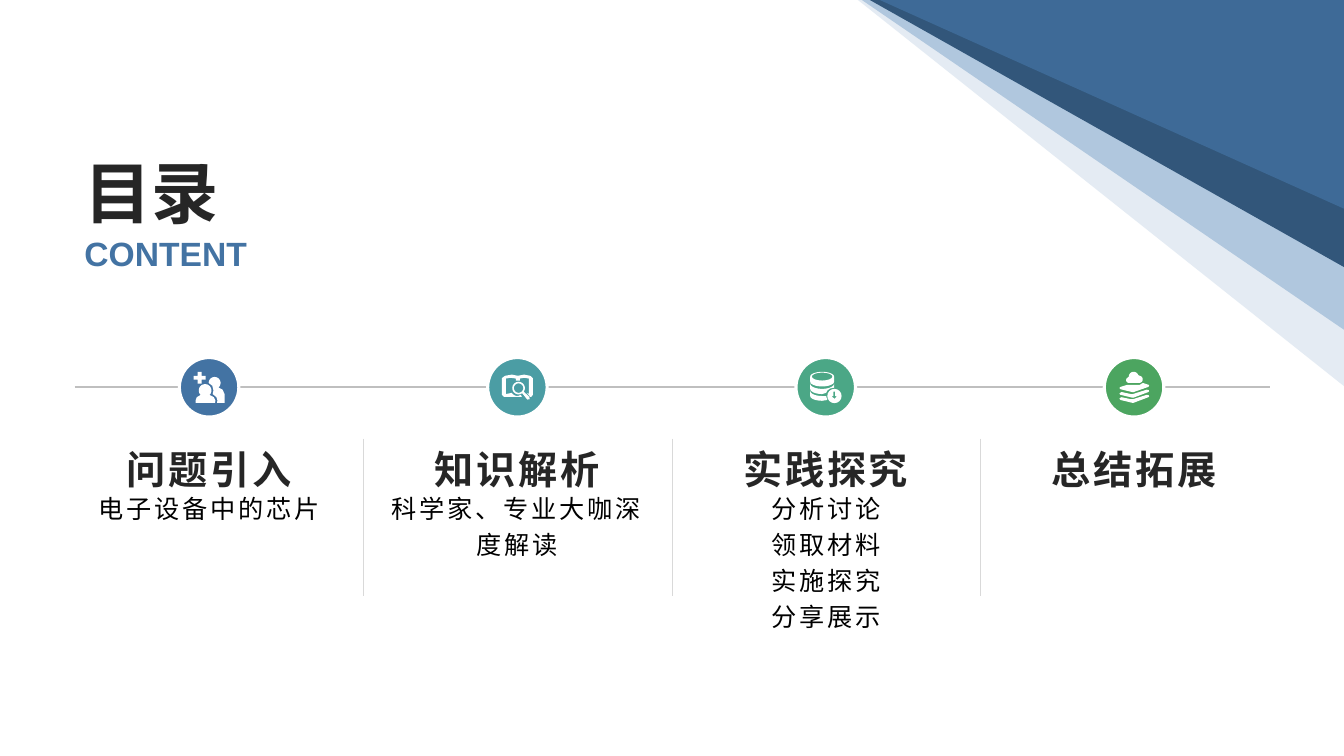
from math import cos, radians, sin

from lxml.etree import SubElement
from pptx import Presentation
from pptx.dml.color import RGBColor
from pptx.enum.shapes import MSO_CONNECTOR, MSO_SHAPE
from pptx.enum.text import MSO_ANCHOR, PP_ALIGN
from pptx.oxml.ns import qn
from pptx.util import Cm, Pt

WIDTH, HEIGHT = 33.87, 19.05
AXIS_Y = 9.76
FIRST_X, STEP = 5.27, 7.77
BLUE, DARK, WHITE = "4373A3", "262626", "FFFFFF"


def rgb(value):
    return RGBColor.from_string(value)


def arc(x, y, rx, ry, start, end, steps=16):
    angles = [radians(start + (end - start) * i / steps) for i in range(steps + 1)]
    return [(x + rx * cos(a), y + ry * sin(a)) for a in angles]


def shift(points, dy):
    return [(x, y + dy) for x, y in points]


PEOPLE = [
    arc(-10, 8, 16, 16, 135, 405)
    + [(12, 25), (16, 33), (15, 39), (-34, 39), (-34, 33), (-31, 25)],
    arc(14, -11, 15, 15, 180, 410)
    + [(34, 6), (39, 17), (39, 39), (20, 39), (21, 33), (19, 26), (14, 21),
       (9, 17), (11, 8), (8, -4)],
    [(-29, -39), (-19, -39), (-19, -29), (-9, -29), (-9, -19), (-19, -19),
     (-19, -9), (-29, -9), (-29, -19), (-39, -19), (-39, -29), (-29, -29)],
]
BOOK = [
    arc(3, 2, 16, 16, 55, 395) + [(30, 24), (31, 30), (25, 31)],
    arc(3, 2, 12, 12, 360, 0),
    [(-39, -23), (-34, -27), (-31, -29), (-14, -32), (1, -29), (17, -32),
     (32, -29), (35, -27), (39, -23), (39, 19), (35, 24), (32, 24), (24, 14),
     (29, 17), (29, -22), (17, -24), (6, -22), (6, -17), (-4, -17), (-4, -22),
     (-17, -24), (-29, -22), (-29, 17), (-14, 14), (-12, 17), (-6, 21),
     (1, 22), (9, 19), (11, 24), (-34, 24), (-39, 19)],
]
DATABASE = [
    arc(-9, -27, 30, 12, 180, 360) + arc(-9, -14, 30, 12, 0, 180),
    arc(-9, -27, 26, 10, 360, 0),
    arc(-9, -9, 30, 13, 180, 0) + [(21, 1), (11, 3), (4, 8), (1, 14)]
    + arc(-9, 4, 30, 13, 90, 180),
    arc(-9, 9, 30, 13, 180, 90) + [(1, 22), (4, 32)] + arc(-9, 22, 30, 12, 90, 180),
    arc(22, 22, 18, 18, 0, 360),
    [(19, 11), (19, 22), (14, 22), (22, 29), (29, 22), (24, 22), (24, 11)],
]
LAYER = [(32, 19), (37, 20), (38, 23), (36, 25), (-1, 39), (-5, 39), (-34, 32),
         (-37, 29), (-34, 26), (-31, 25), (-8, 30), (-3, 30)]
BOOKS = [
    LAYER,
    shift(LAYER, -13),
    [(22, -11), (37, -6), (38, -4), (36, -1), (-1, 12), (-5, 12), (-34, 5),
     (-37, 2), (-34, -1), (-18, -6), (14, -6)],
    arc(-13, -18, 7, 7, 90, 250) + arc(-1, -27, 12, 12, 180, 340)
    + arc(13, -20, 9, 9, -80, 90),
]

CORNER = [
    (21.62, 9.73, "B0C7DE", 34),
    (21.72, 8.31, "B0C7DE", 100),
    (21.92, 6.73, "32567A", 100),
    (22.17, 5.26, BLUE, 71),
]
CHAPTERS = [
    ("问题引入", ["电子设备中的芯片"], BLUE, PEOPLE),
    ("知识解析", ["科学家、专业大咖深度解读"], "4B9DA4", BOOK),
    ("实践探究", ["分析讨论", "领取材料", "实施探究", "分享展示"], "4BA786", DATABASE),
    ("总结拓展", [], "4CA560", BOOKS),
]


class Deck:
    font = "Arial"

    def __init__(self):
        self.presentation = Presentation()
        self.presentation.slide_width = Cm(WIDTH)
        self.presentation.slide_height = Cm(HEIGHT)
        layout = self.presentation.slide_layouts[6]
        self.shapes = self.presentation.slides.add_slide(layout).shapes

    def outline(self, contours, color, x=0, y=0, unit=1, opacity=100):
        builder = None
        for contour in contours:
            points = [(Cm(px * unit), Cm(py * unit)) for px, py in contour]
            if builder is None:
                builder = self.shapes.build_freeform(*points[0])
            else:
                builder.move_to(*points[0])
            builder.add_line_segments(points[1:], close=True)
        figure = builder.convert_to_shape(Cm(x), Cm(y))
        figure.shadow.inherit = False
        figure.line.fill.background()
        figure.fill.solid()
        figure.fill.fore_color.rgb = rgb(color)
        if opacity < 100:
            tint = figure.fill._xPr.find(qn("a:solidFill"))[0]
            SubElement(tint, qn("a:alpha")).set("val", str(opacity * 1000))

    def disc(self, x, y, size, color):
        disc = self.shapes.add_shape(
            MSO_SHAPE.OVAL, Cm(x - size / 2), Cm(y - size / 2), Cm(size), Cm(size))
        disc.shadow.inherit = False
        disc.fill.solid()
        disc.fill.fore_color.rgb = rgb(color)
        disc.line.color.rgb = rgb(WHITE)
        disc.line.width = Pt(2.25)

    def rule(self, x1, y1, x2, y2, color, width):
        rule = self.shapes.add_connector(
            MSO_CONNECTOR.STRAIGHT, Cm(x1), Cm(y1), Cm(x2), Cm(y2))
        rule.line.color.rgb = rgb(color)
        rule.line.width = Pt(width)
        SubElement(rule._element.spPr, qn("a:effectLst"))

    def text(self, lines, x, y, width, height, size, color, bold=False,
             anchor=MSO_ANCHOR.TOP, align=PP_ALIGN.LEFT, leading=1, tracking=0):
        frame = self.shapes.add_textbox(Cm(x), Cm(y), Cm(width), Cm(height)).text_frame
        frame.word_wrap = True
        frame.vertical_anchor = anchor
        top = anchor == MSO_ANCHOR.TOP
        frame.margin_top, frame.margin_bottom = (0, Cm(0.13)) if top else (Cm(0.13), 0)
        frame.text = "\n".join(lines)
        for paragraph in frame.paragraphs:
            paragraph.alignment = align
            paragraph.line_spacing = leading
            for run in paragraph.runs:
                run.font.name = self.font
                run.font.size = Pt(size)
                run.font.bold = bold
                run.font.color.rgb = rgb(color)
                if tracking:
                    run.font._element.set("spc", str(tracking * 100))

    def chapter(self, x, title, details, color, icon):
        self.disc(x, AXIS_Y, 1.5, color)
        self.outline(icon, WHITE, x, AXIS_Y, unit=0.01)
        spaced = dict(align=PP_ALIGN.CENTER, leading=1.2, tracking=2)
        if details:
            self.text(details, x - 3.75, 12.27, 7.5, 3.7, 18, "000000", **spaced)
        self.text([title], x - 3.75, 11.05, 7.5, 1.14, 28, DARK, bold=True,
                  anchor=MSO_ANCHOR.MIDDLE, **spaced)


def main():
    deck = Deck()
    for left, bottom, color, opacity in CORNER:
        deck.outline([[(left, 0), (WIDTH, 0), (WIDTH, bottom)]], color, opacity=opacity)
    deck.rule(1.88, AXIS_Y, 32, AXIS_Y, "BFBFBF", 1.5)
    for i, chapter in enumerate(CHAPTERS):
        x = FIRST_X + i * STEP
        deck.chapter(x, *chapter)
        if i < len(CHAPTERS) - 1:
            deck.rule(x + 3.89, 11.05, x + 3.89, 15.01, "D9D9D9", 0.25)
    deck.text(["目录"], 1.88, 3, 6.25, 2.84, 48, DARK, bold=True, anchor=MSO_ANCHOR.BOTTOM)
    deck.text(["CONTENT"], 1.88, 5.87, 5.33, 1.45, 24, BLUE, bold=True)
    deck.presentation.save("out.pptx")


if __name__ == "__main__":
    main()
